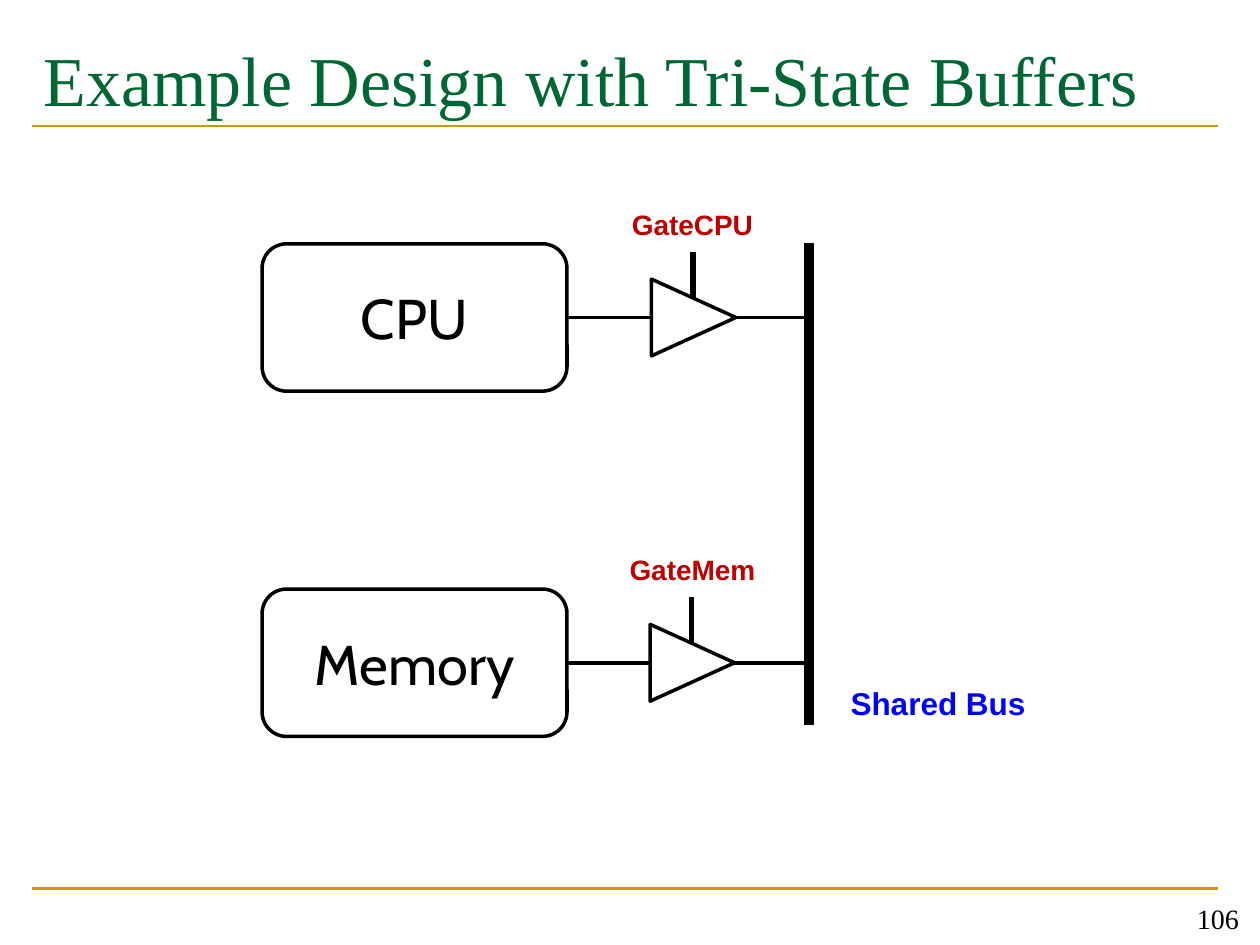
import pptx
import pptx.dml.color
import pptx.enum.shapes
import pptx.enum.text
import pptx.util
from lxml import etree
from pptx.util import Inches

COLORS = {
    "title": "006633",
    "rule": "CC9900",
    "ink": "000000",
    "paper": "FFFFFF",
    "gate": "C00000",
    "bus": "0000FF",
}
ALIGN = pptx.enum.text.PP_ALIGN
ANCHOR = pptx.enum.text.MSO_ANCHOR
SHAPE = pptx.enum.shapes.MSO_SHAPE

BUS_X = 6.42
ROW_PITCH = 2.74
# Name of the unit, name of its gate signal, sideways shift of its buffer
UNITS = [("CPU", "GateCPU", 0), ("Memory", "GateMem", -0.01)]


def rgb(name):
    return pptx.dml.color.RGBColor.from_string(COLORS[name])


def write_text(shape, text, size, font="Arial", color="ink", bold=False,
               align=ALIGN.CENTER, anchor=ANCHOR.TOP, top_inset=0.05):
    frame = shape.text_frame
    frame.word_wrap = True
    frame.vertical_anchor = anchor
    frame.margin_top = Inches(top_inset)
    paragraph = frame.paragraphs[0]
    paragraph.text = text
    paragraph.alignment = align
    paragraph.font.name = font
    paragraph.font.size = pptx.util.Pt(size)
    paragraph.font.bold = bold
    paragraph.font.color.rgb = rgb(color)


def add_text(slide, left, top, width, height, text, **text_format):
    box = slide.shapes.add_textbox(
        Inches(left), Inches(top), Inches(width), Inches(height))
    write_text(box, text, **text_format)


def add_outlined(slide, kind, left, top, width, height):
    shape = slide.shapes.add_shape(
        kind, Inches(left), Inches(top), Inches(width), Inches(height))
    shape.shadow.inherit = False
    shape.fill.solid()
    shape.fill.fore_color.rgb = rgb("paper")
    shape.line.color.rgb = rgb("ink")
    shape.line.width = pptx.util.Pt(2)
    return shape


def add_line(slide, x1, y1, x2, y2, width, color="ink"):
    line = slide.shapes.add_connector(
        pptx.enum.shapes.MSO_CONNECTOR.STRAIGHT,
        Inches(x1), Inches(y1), Inches(x2), Inches(y2))
    line.line.color.rgb = rgb(color)
    line.line.width = pptx.util.Pt(width)
    properties = line._element.spPr
    etree.SubElement(properties, pptx.oxml.ns.qn("a:effectLst"))
    return line


def add_unit(slide, middle, name, gate, shift):
    """Draw a unit, its tri-state buffer and the wires to the bus."""
    box = add_outlined(slide, SHAPE.ROUNDED_RECTANGLE,
                       2.08, middle - 0.585, 2.42, 1.17)
    write_text(box, name, size=32, font="Cabin", anchor=ANCHOR.MIDDLE)

    # Buffer with its enable input
    buffer = add_outlined(slide, SHAPE.ISOSCELES_TRIANGLE,
                          5.2 + shift, middle - 0.335, 0.61, 0.67)
    buffer.rotation = 90
    enable_x = 5.5 + shift
    add_line(slide, enable_x, middle - 0.52, enable_x, middle - 0.15, width=3)
    add_text(slide, 4.7, middle - 0.92, 1.59, 0.37, gate,
             size=16, color="gate", bold=True)

    # Wires from the unit to the buffer and on to the bus
    wire = add_line(slide, 4.5, middle, 5.17 + shift, middle, width=2.25)
    wire.begin_connect(box, 3)
    add_line(slide, 5.83 + shift, middle, BUS_X, middle, width=2.25)


def main():
    presentation = pptx.Presentation()
    presentation.slide_width = Inches(10)
    presentation.slide_height = Inches(7.5)
    slide = presentation.slides.add_slide(presentation.slide_layouts[6])

    # Frame: rules, title and page number
    for y in (1, 7.05):
        add_line(slide, 0.25, y, 9.67, y, width=1.5, color="rule")
    add_text(slide, 0.25, 0.17, 9.42, 0.97,
             "Example Design with Tri-State Buffers",
             size=40, font="Times New Roman", color="title",
             align=ALIGN.LEFT, top_inset=0.12)
    add_text(slide, 7.6, 6.97, 2.33, 0.5, "106",
             size=16, font="Times New Roman",
             align=ALIGN.RIGHT, anchor=ANCHOR.BOTTOM)

    # Units on the shared bus
    for row, (name, gate, shift) in enumerate(UNITS):
        add_unit(slide, 2.52 + row * ROW_PITCH, name, gate, shift)
    add_line(slide, BUS_X, 1.93, BUS_X, 5.75, width=6)
    add_text(slide, 6.55, 5.38, 1.79, 0.4, "Shared Bus",
             size=18, color="bus", bold=True)

    presentation.save("out.pptx")


if __name__ == "__main__":
    main()
